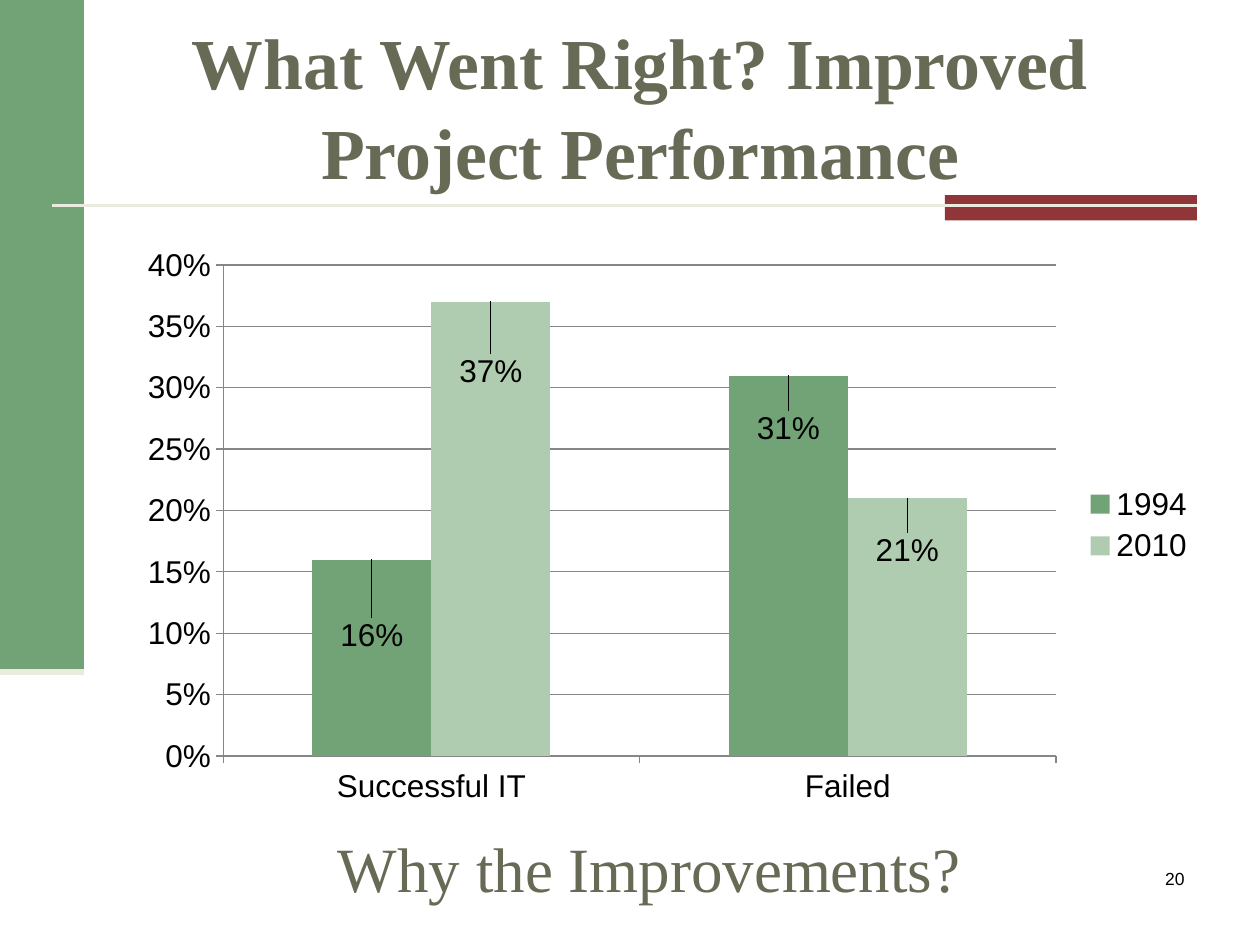
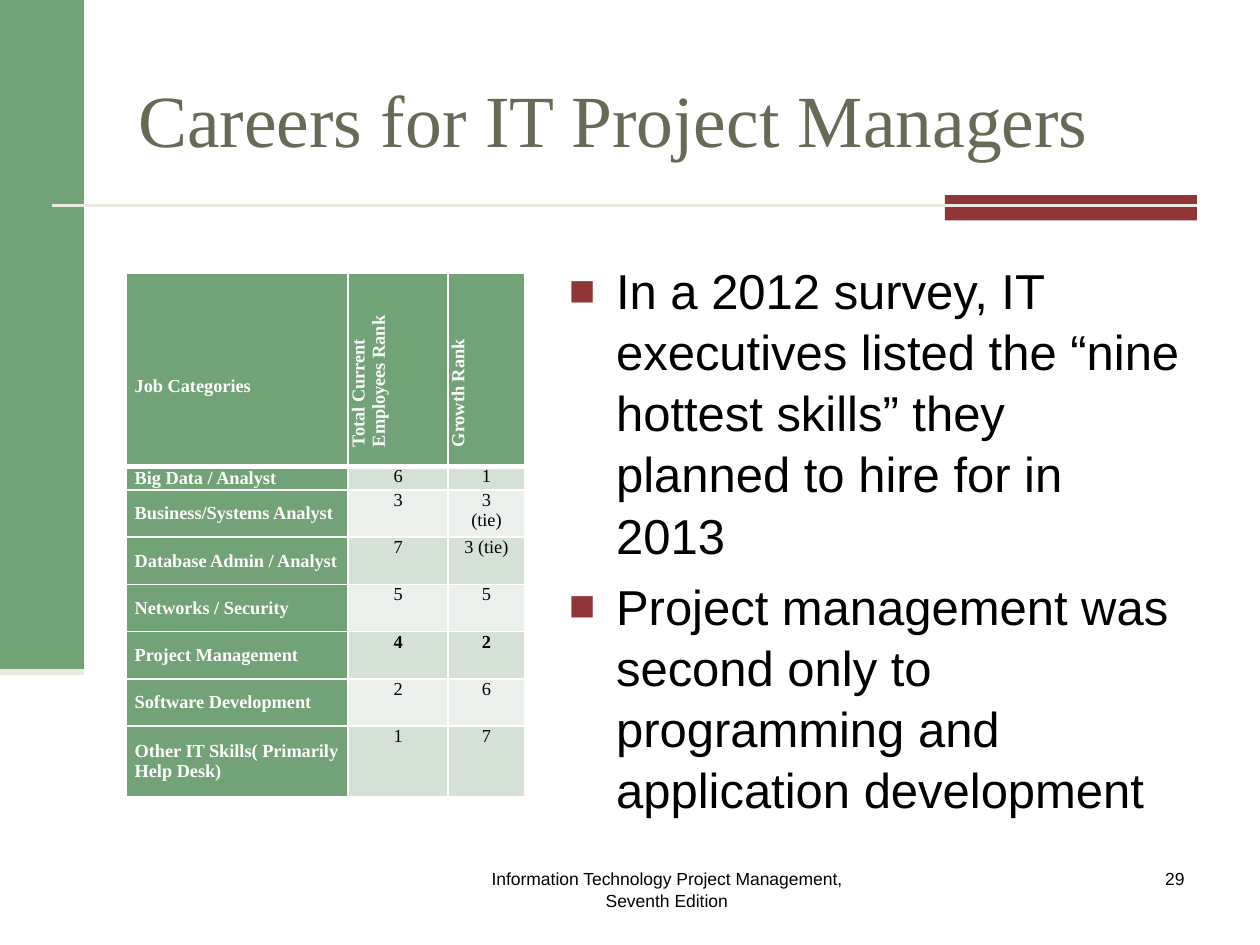
from copy import deepcopy

from lxml import etree
from pptx import Presentation
from pptx.chart.data import CategoryChartData
from pptx.dml.color import RGBColor
from pptx.enum import chart as ch, shapes, text
from pptx.oxml import parse_xml
from pptx.oxml.ns import nsdecls, qn
from pptx.util import Pt

GREEN = RGBColor(0x72, 0xA3, 0x76)
LIGHT_GREEN = RGBColor(0xB0, 0xCC, 0xB0)
BAND_DARK = RGBColor(0xD5, 0xE0, 0xD6)
BAND_LIGHT = RGBColor(0xEB, 0xF0, 0xEC)
RED = RGBColor(0x90, 0x36, 0x38)
CREAM = RGBColor(0xEA, 0xEB, 0xDE)
OLIVE = RGBColor(0x67, 0x6A, 0x55)
GRAY = RGBColor(0x86, 0x86, 0x86)
BLACK = RGBColor(0, 0, 0)
WHITE = RGBColor(0xFF, 0xFF, 0xFF)

SERIF, SANS = "Times New Roman", "Arial"
HEADING = {"name": SERIF, "size": Pt(42), "color": OLIVE}
BODY = {"name": SANS, "size": Pt(28), "color": BLACK}
SMALL = {"name": SANS, "size": Pt(10), "color": BLACK}
CHART_TEXT = {"name": SANS, "size": Pt(18), "color": BLACK}
CELL = {"name": SERIF, "size": Pt(10.5), "color": BLACK, "bold": False}
CELL_HEAD = {**CELL, "color": WHITE, "bold": True}

LEFT, CENTER, RIGHT = (text.PP_ALIGN.LEFT, text.PP_ALIGN.CENTER,
                       text.PP_ALIGN.RIGHT)
TOP, MIDDLE = text.MSO_ANCHOR.TOP, text.MSO_ANCHOR.MIDDLE


def set_font(font, style):
    for key, value in style.items():
        if key == "color":
            font.color.rgb = value
        else:
            setattr(font, key, value)


def fill_para(para, words, style, align=LEFT):
    para.text = words
    para.alignment = align
    for span in para.runs:
        set_font(span.font, style)
    # Line breaks take the size of the text around them
    for line_break in para._p.findall(qn("a:br")):
        line_break.insert(0, deepcopy(para.runs[0]._r.rPr))


class Deck:
    """Holds the presentation, its style and the current page."""

    def __init__(self):
        self.deck = Presentation()
        self.deck.slide_width, self.deck.slide_height = Pt(720), Pt(540)
        self.page = None

    def add_page(self, number):
        self.page = self.deck.slides.add_slide(self.deck.slide_layouts[6])
        self.block(0, 0, 48, 384, GREEN)
        self.block(540, 111.5, 144, 14.5, RED)
        self.rule(30, 684, 117.5, 1.5)
        self.rule(0, 48, 384, 3.5)
        self.text_box((534, 492, 150, 36), [str(number)], SMALL, RIGHT)

    def block(self, left, top, width, height, color):
        box = self.page.shapes.add_shape(
            shapes.MSO_SHAPE.RECTANGLE, Pt(left), Pt(top), Pt(width), Pt(height))
        box.shadow.inherit = False
        box.fill.solid()
        box.fill.fore_color.rgb = color
        box.line.fill.background()

    def rule(self, start, end, y, weight):
        line = self.page.shapes.add_connector(
            shapes.MSO_CONNECTOR.STRAIGHT, Pt(start), Pt(y), Pt(end), Pt(y))
        line.line.color.rgb = CREAM
        line.line.width = Pt(weight)
        etree.SubElement(line._element.spPr, qn("a:effectLst"))

    def text_box(self, place, lines, style, align=LEFT, anchor=TOP, bullet=False):
        box = self.page.shapes.add_textbox(*map(Pt, place))
        frame = box.text_frame
        frame.word_wrap = True
        frame.vertical_anchor = anchor
        for index, words in enumerate(lines):
            para = frame.add_paragraph() if index else frame.paragraphs[0]
            if bullet:
                self.add_bullet(para)
            fill_para(para, words, style, align)
            para.line_spacing = 1.04
            if index:
                para.space_before = Pt(5.6)

    def add_bullet(self, para):
        props = para._p.get_or_add_pPr()
        props.set("marL", str(Pt(27)))
        props.set("indent", str(-Pt(27)))
        color = etree.SubElement(props, qn("a:buClr"))
        etree.SubElement(color, qn("a:srgbClr"), val=str(RED))
        etree.SubElement(props, qn("a:buSzPct"), val="90000")
        etree.SubElement(props, qn("a:buFont"), typeface=SANS)
        etree.SubElement(props, qn("a:buChar"), char="■")

    def column_chart(self, place, categories, series_list):
        data = CategoryChartData(number_format="0%")
        data.categories = categories
        for name, values, *_ in series_list:
            data.add_series(name, values)
        chart = self.page.shapes.add_chart(
            ch.XL_CHART_TYPE.COLUMN_CLUSTERED, *map(Pt, place), data).chart
        set_font(chart.font, CHART_TEXT)
        chart.has_title = False
        chart.has_legend = True
        chart.legend.position = ch.XL_LEGEND_POSITION.RIGHT
        chart.legend.include_in_layout = False
        plot = chart.plots[0]
        plot.gap_width, plot.overlap = 150, 0
        plot.vary_by_categories = False

        # Axes and plot area
        values_axis = chart.value_axis
        values_axis.minimum_scale, values_axis.maximum_scale = 0, 0.4
        values_axis.major_unit = 0.05
        values_axis.has_major_gridlines = True
        values_axis.tick_labels.number_format = "0%"
        values_axis.tick_labels.number_format_is_linked = False
        for axis in (chart.category_axis, values_axis):
            axis.major_tick_mark = ch.XL_TICK_MARK.OUTSIDE
            axis.format.line.color.rgb = GRAY
            set_font(axis.tick_labels.font, CHART_TEXT)
        values_axis.major_gridlines.format.line.color.rgb = GRAY
        area = chart._chartSpace.chart.plotArea
        for old in area.findall(qn("c:layout")):
            area.remove(old)
        area.insert(0, self.layout(x=0.09, y=0.05, w=0.77, h=0.85))

        # Series with labels moved down into the bars
        for series, (_, _, color, shifts, leaders) in zip(plot.series, series_list):
            series.format.fill.solid()
            series.format.fill.fore_color.rgb = color
            series.smooth = False if hasattr(series, "smooth") else None
            labels = series.data_labels
            labels.show_value = True
            set_font(labels.font, CHART_TEXT)
            for index, (x, y) in enumerate(shifts):
                label = series.points[index].data_label
                set_font(label.font, CHART_TEXT)
                label.position = ch.XL_LABEL_POSITION.OUTSIDE_END
                label._get_or_add_dLbl().insert(1, self.layout(x=x, y=y))
            if leaders:
                labels._element.append(parse_xml(
                    f'<c:extLst {nsdecls("c")}>'
                    '<c:ext uri="{CE6537A1-D6FC-4f65-9D91-7224C49458BB}" xmlns:c15='
                    '"http://schemas.microsoft.com/office/drawing/2012/chart">'
                    '<c15:showLeaderLines val="1"/></c:ext></c:extLst>'))

    def layout(self, **numbers):
        layout = parse_xml(f'<c:layout {nsdecls("c")}><c:manualLayout/></c:layout>')
        manual = layout[0]
        if "w" in numbers:
            etree.SubElement(manual, qn("c:layoutTarget"), val="inner")
            for mode in ("xMode", "yMode"):
                etree.SubElement(manual, qn(f"c:{mode}"), val="edge")
        for key, value in numbers.items():
            etree.SubElement(manual, qn(f"c:{key}"), val=str(value))
        return layout

    def table(self, place, widths, heights, rows):
        table = self.page.shapes.add_table(
            len(rows), len(widths), *map(Pt, place)).table
        table.horz_banding = False
        for column, width in zip(table.columns, widths):
            column.width = Pt(width)
        for row, height in zip(table.rows, heights):
            row.height = Pt(height)
        for r, row in enumerate(rows):
            for c, words in enumerate(row):
                self.fill_cell(table.cell(r, c), r, c, words,
                               bold=row[0] == "Project Management")

    def fill_cell(self, cell, r, c, words, bold):
        head = r == 0 or c == 0
        cell.margin_left = cell.margin_right = Pt(5)
        cell.margin_top = cell.margin_bottom = 0
        cell.vertical_anchor = MIDDLE if head else TOP
        para = cell.text_frame.paragraphs[0]
        style = CELL_HEAD if head else {**CELL, "bold": bold}
        fill_para(para, words, style, LEFT if head else CENTER)
        props = cell._tc.get_or_add_tcPr()
        if r == 0 and c == 0:
            cell.vertical_anchor = TOP
            cell.margin_top = Pt(59)
        elif r == 0:
            props.set("vert", "vert270")
            para._p.get_or_add_pPr().set("marL", str(Pt(6)))
        # White borders, thicker around the header's lower edge
        for side in "LRTB":
            thick = (r, side) in ((0, "B"), (1, "T"))
            line = etree.SubElement(props, qn(f"a:ln{side}"),
                                    w=str(Pt(3 if thick else 1)))
            solid = etree.SubElement(line, qn("a:solidFill"))
            etree.SubElement(solid, qn("a:srgbClr"), val=str(WHITE))
        cell.fill.solid()
        cell.fill.fore_color.rgb = (
            GREEN if head else BAND_DARK if r % 2 else BAND_LIGHT)


def main():
    show = Deck()

    # Improved project performance
    show.add_page(20)
    show.text_box((60, 12, 612, 95), ["What Went Right? Improved Project Performance"],
                  {**HEADING, "size": Pt(41), "bold": True}, CENTER, MIDDLE)
    show.text_box((186, 450, 378, 90), ["Why the Improvements?"],
                  {**HEADING, "size": Pt(36)}, anchor=MIDDLE)
    show.column_chart((72, 135, 618, 330), ["Successful IT", "Failed"], [
        ("1994", (0.16, 0.31), GREEN, ((0, 0.17), (0, 0.13)), True),
        ("2010", (0.37, 0.21), LIGHT_GREEN, ((0, 0.16), (0, 0.13)), False)])

    # Careers
    show.add_page(29)
    show.text_box((72, 21.5, 612, 90), ["Careers for IT Project Managers"],
                  HEADING, anchor=MIDDLE)
    show.text_box((318, 144, 366, 338), [
        "In a 2012 survey, IT executives listed the “nine hottest skills” "
        "they planned to hire for in 2013",
        "Project management was second only to programming and "
        "application development"], BODY, bullet=True)
    show.text_box((264, 492, 234, 36),
                  ["Information Technology Project Management, Seventh Edition"],
                  SMALL, CENTER)
    show.table((72, 156, 228, 300), (127, 57, 44), (110.5, 13.5, *[27] * 5, 40.5), [
        ("Job Categories", "Total Current\nEmployees Rank", "Growth Rank"),
        ("Big Data / Analyst", "6", "1"),
        ("Business/Systems Analyst", "3", "3\n(tie)"),
        ("Database Admin / Analyst", "7", "3 (tie)"),
        ("Networks / Security", "5", "5"),
        ("Project Management", "4", "2"),
        ("Software Development", "2", "6"),
        ("Other IT Skills( Primarily Help Desk)", "1", "7")])

    show.deck.save("out.pptx")


if __name__ == "__main__":
    main()
